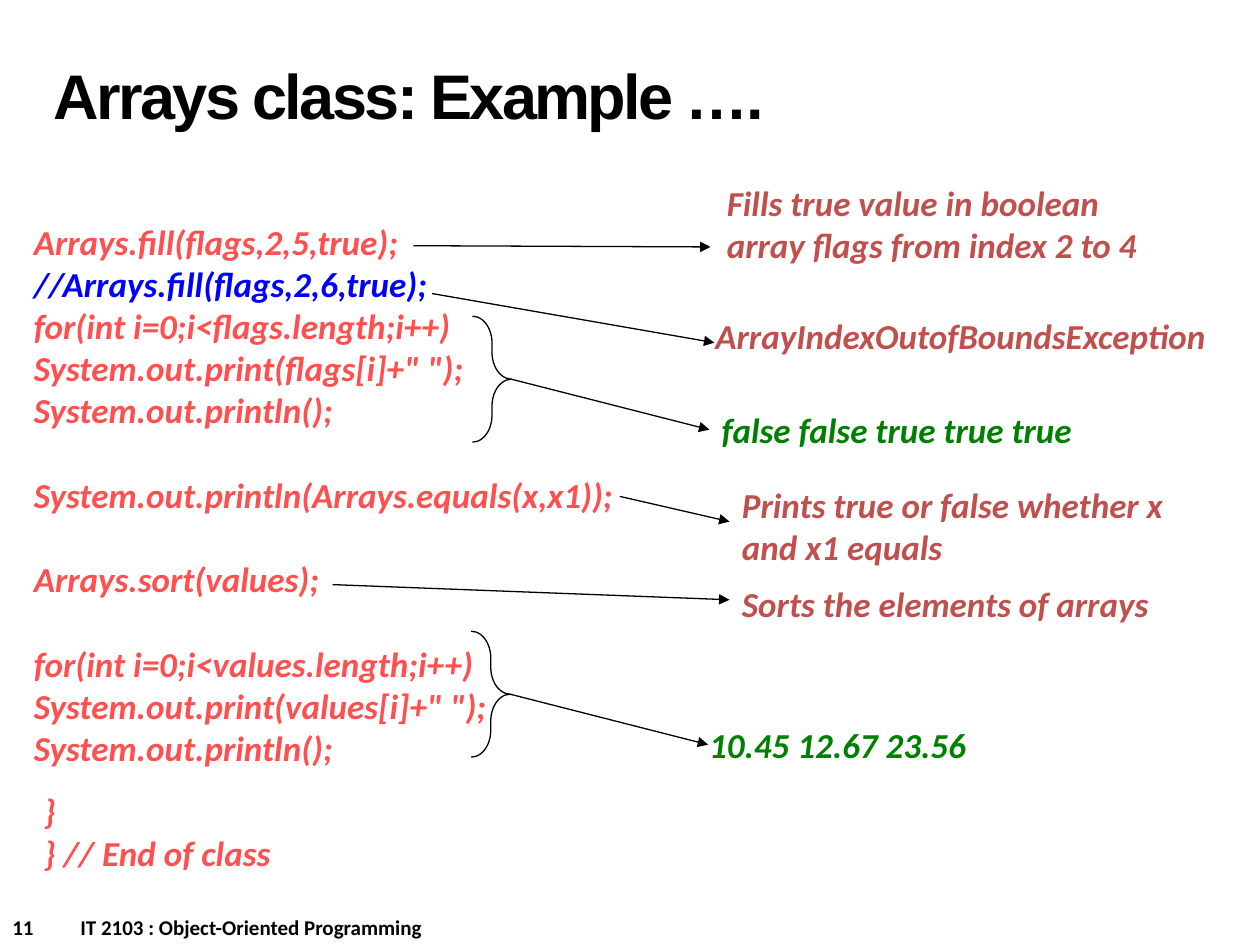
import pptx
import pptx.dml.color
import pptx.enum.shapes
import pptx.enum.text
import pptx.oxml
import pptx.oxml.ns
import pptx.util
from pptx.util import Inches

BLACK = "000000"
CODE = "FF5050"
COMMENT = "0000FF"
NOTE = "C0504D"
OUTPUT = "008000"
CODE_LINE = 24.4


def colour(value):
    return pptx.dml.color.RGBColor.from_string(value)


def add_element(parent, tag, **attributes):
    element = pptx.oxml.parse_xml(f"<a:{tag} {pptx.oxml.ns.nsdecls('a')}/>")
    for name, value in attributes.items():
        element.set(name, str(value))
    parent.append(element)
    return element


class SlideBuilder:
    def __init__(self, deck):
        self.page = deck.slides.add_slide(deck.slide_layouts[6])

    def text(self, area, lines, fill, size=20, font="Calibri", italic=True, wrap=True):
        box = self.page.shapes.add_textbox(*map(Inches, area))
        frame = box.text_frame
        frame.word_wrap = wrap
        frame.text = "\n".join(lines)
        for para in frame.paragraphs:
            for span in para.runs:
                span.font.name = font
                span.font.size = pptx.util.Pt(size)
                span.font.bold = True
                span.font.italic = italic
                span.font.color.rgb = colour(fill)
        return frame

    def title(self, area, words):
        frame = self.text(area, [words], BLACK, 36, "Arial", False)
        frame.vertical_anchor = pptx.enum.text.MSO_ANCHOR.MIDDLE
        para = frame.paragraphs[0]
        para.line_spacing = pptx.util.Pt(36)
        para.runs[0].font._element.set("spc", "-150")

    def footer(self, area, number, course):
        frame = self.text(area, [f"{number}\t{course}"], BLACK, 12, italic=False)
        properties = frame.paragraphs[0]._p.get_or_add_pPr()
        stops = add_element(properties, "tabLst")
        add_element(stops, "tab", pos=Inches(0.54), algn="l")

    def code(self, area, blocks):
        lines = [line for block in blocks for line in block]
        frame = self.text(area, lines, CODE)
        starts = [block[0] for block in blocks[1:]]
        for para in frame.paragraphs:
            if para.text in starts:
                para.space_before = pptx.util.Pt(CODE_LINE)
            if para.text.startswith("//"):
                para.runs[0].font.color.rgb = colour(COMMENT)

    def outline(self, shape):
        shape.line.color.rgb = colour(BLACK)
        shape.line.width = pptx.util.Pt(0.75)

    def arrow(self, start, end):
        kind = pptx.enum.shapes.MSO_CONNECTOR.STRAIGHT
        line = self.page.shapes.add_connector(kind, *map(Inches, start + end))
        self.outline(line)
        add_element(line.line._get_or_add_ln(), "tailEnd", type="triangle")
        add_element(line._element.spPr, "effectLst")

    def brace(self, left, top):
        kind = pptx.enum.shapes.MSO_SHAPE.RIGHT_BRACE
        width, height = 0.31, 1
        brace = self.page.shapes.add_shape(kind, *map(Inches, (left, top, width, height)))
        brace.adjustments[0] = 0.69
        brace.adjustments[1] = 0.5
        brace.shadow.inherit = False
        brace.fill.background()
        self.outline(brace)
        tip = left + width, top + height / 2
        self.arrow(tip, (tip[0] + 1.57, tip[1] + 0.4))


def main():
    deck = pptx.Presentation()
    deck.slide_width = Inches(10)
    deck.slide_height = Inches(7.5)
    slide = SlideBuilder(deck)

    slide.footer((0, 7.21, 5, 0.3), 11, "IT 2103 : Object-Oriented Programming")
    slide.title((0.33, 0.17, 6.92, 1.25), "Arrays class: Example ….")
    slide.code((0.17, 1.7, 7.17, 4.43), [
        ["Arrays.fill(flags,2,5,true);",
         "//Arrays.fill(flags,2,6,true);",
         "for(int i=0;i<flags.length;i++)",
         'System.out.print(flags[i]+" ");',
         "System.out.println();"],
        ["System.out.println(Arrays.equals(x,x1));"],
        ["Arrays.sort(values);"],
        ["for(int i=0;i<values.length;i++)",
         'System.out.print(values[i]+" ");',
         "System.out.println();"],
    ])
    slide.code((0.25, 6.22, 5, 0.77), [["}", "} // End of class"]])

    notes = [
        ((5.67, 1.39, 3.83, 1.1), "Fills true value in boolean array flags from index 2 to 4"),
        ((5.58, 2.45, 4.14, 0.44), "ArrayIndexOutofBoundsException"),
        ((5.79, 3.79, 3.83, 0.77), "Prints true or false whether x and x1 equals"),
        ((5.79, 4.57, 3.83, 0.44), "Sorts the elements of arrays"),
    ]
    for area, words in notes:
        slide.text(area, [words], NOTE)

    outputs = [
        ((5.63, 3.19, 3.34, 0.43), "false false true true true"),
        ((5.53, 5.69, 2.44, 0.43), "10.45 12.67 23.56"),
    ]
    for area, words in outputs:
        slide.text(area, [words], OUTPUT, wrap=False)

    arrows = [
        ((3.28, 1.95), (5.64, 1.96)),
        ((3.43, 2.33), (5.67, 2.72)),
        ((4.92, 3.94), (5.79, 4.14)),
        ((2.64, 4.64), (5.79, 4.76)),
    ]
    for start, end in arrows:
        slide.arrow(start, end)

    for left, top in [(3.75, 2.51), (3.74, 5.01)]:
        slide.brace(left, top)

    deck.save("out.pptx")


if __name__ == "__main__":
    main()
